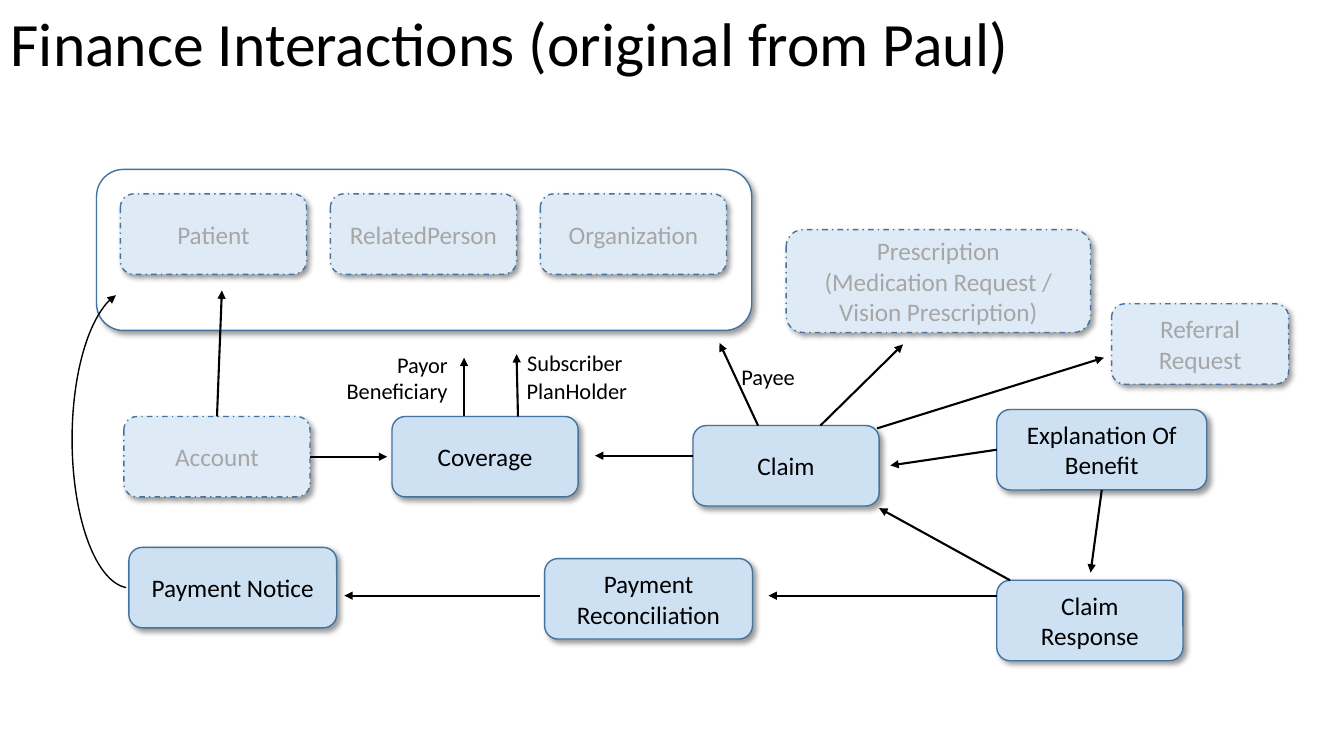
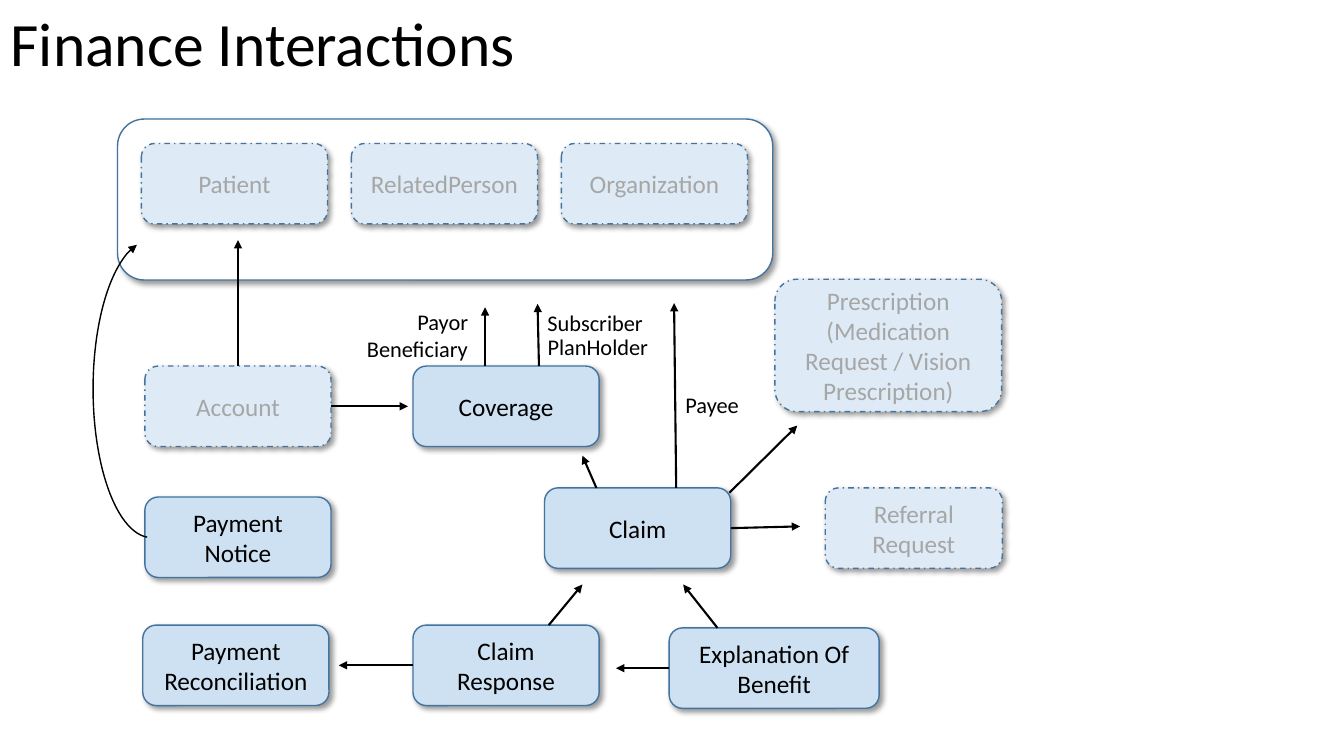
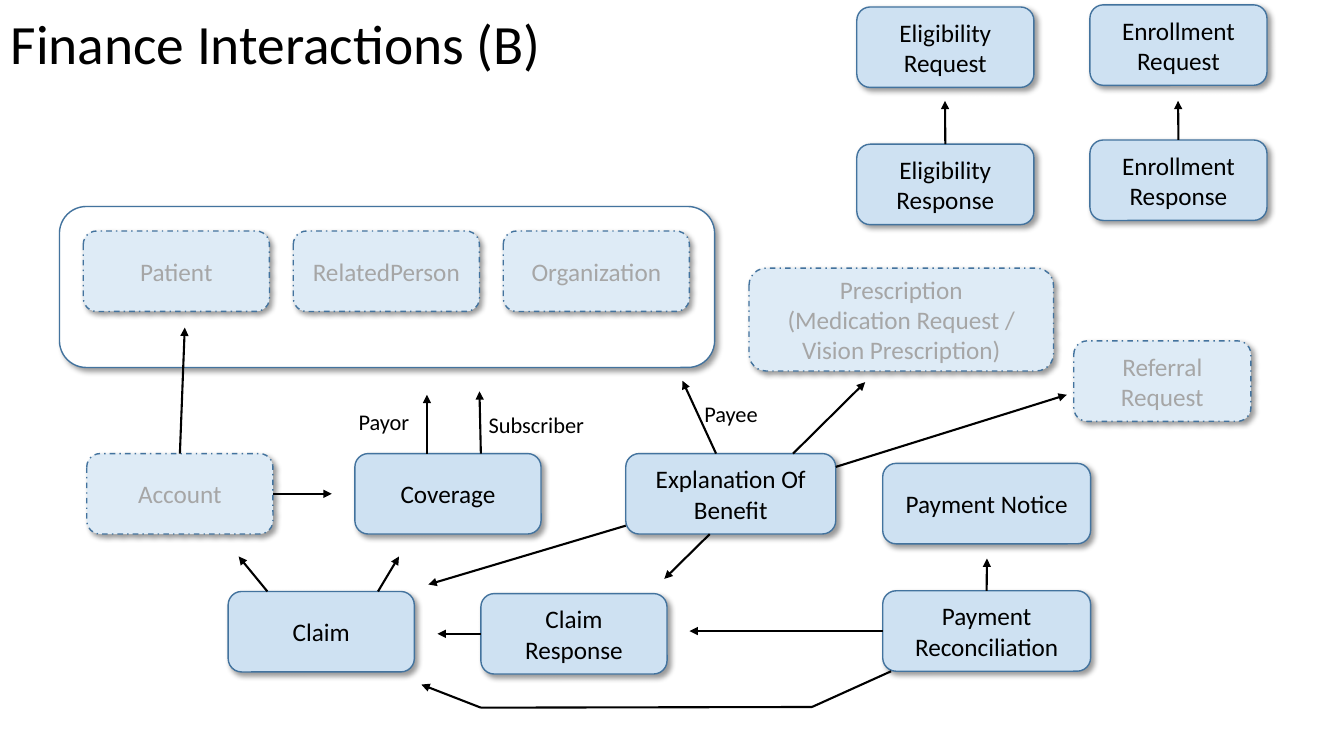
from itertools import pairwise

from lxml.etree import SubElement
from pptx import Presentation
from pptx.dml.color import RGBColor as Rgb
from pptx.enum.dml import MSO_LINE as Dash
from pptx.enum.shapes import MSO_CONNECTOR as Link, MSO_SHAPE as Form
from pptx.enum.text import MSO_ANCHOR as Anchor, MSO_AUTO_SIZE as Fit, PP_ALIGN as Align
from pptx.oxml import parse_xml
from pptx.oxml.ns import nsdecls, qn
from pptx.util import Pt

HUES = {"ink": "000000", "faint": "A6A6A6", "edge": "43739E",
        "core": "CEE1F2", "pale": "DEEBF6", "white": "FFFFFF"}

# Fill, font colour and dash of each kind of box
LOOKS = {
    "core": ("core", "ink", None),
    "side": ("pale", "faint", Dash.DASH_DOT),
    "frame": ("white", "ink", None),
}
SHADE = (
    f'<a:effectLst {nsdecls("a")}><a:outerShdw blurRad="50800" dist="38100" '
    'dir="2700000" algn="tl" rotWithShape="0"><a:srgbClr val="000000">'
    '<a:alpha val="40000"/></a:srgbClr></a:outerShdw></a:effectLst>'
)

WIDE, HIGH = 133, 57.5
REF_W, PAY_W, EOB_W = 126.5, 148.5, 150
TOP, LEFT, BOTTOM, RIGHT = range(4)
LABELS = {"Payor": 51, "Beneficiary": 88, "Subscriber": 83.5,
          "PlanHolder": 87, "Payee": 53.5}
SCRIPT = "Prescription\n(Medication Request / Vision Prescription)"


def hue(name):
    return Rgb.from_string(HUES[name])


def apply(item, values):
    for name, value in values.items():
        setattr(item, name, value)


def write(frame, text, size, color="ink", **form):
    """Fill a text frame with one paragraph; form goes to the paragraph."""
    para = frame.paragraphs[0]
    para.text = text
    apply(para, form)
    for run in para.runs:
        apply(run.font, {"name": "Calibri", "size": Pt(size)})
        run.font.color.rgb = hue(color)


def stroke(line, color, width, end=None):
    line.color.rgb = hue(color)
    line.width = Pt(width)
    if end:
        SubElement(line._get_or_add_ln(), qn(f"a:{end}")).set("type", "triangle")


def title(page, text, width, size=44):
    frame = page.shapes.add_textbox(Pt(0.5), 0, Pt(width), Pt(67)).text_frame
    apply(frame, {"word_wrap": True, "vertical_anchor": Anchor.MIDDLE})
    write(frame, text, size, line_spacing=0.9)


def label(page, text, x, y):
    spot = (Pt(v) for v in (x, y, LABELS[text], 27))
    frame = page.shapes.add_textbox(*spot).text_frame
    apply(frame, {"word_wrap": False, "auto_size": Fit.SHAPE_TO_FIT_TEXT})
    write(frame, text, 16)


def box(page, text, x, y, w=WIDE, h=HIGH, look="core"):
    fill, ink, dash = LOOKS[look]
    shape = page.shapes.add_shape(Form.ROUNDED_RECTANGLE, Pt(x), Pt(y), Pt(w), Pt(h))
    shape.fill.solid()
    shape.fill.fore_color.rgb = hue(fill)
    stroke(shape.line, "edge", 1)
    if dash:
        shape.line.dash_style = dash
    shape._element.spPr.append(parse_xml(SHADE))
    if text:
        shape.text_frame.vertical_anchor = Anchor.MIDDLE
        write(shape.text_frame, text, 18, ink, alignment=Align.CENTER)
    return shape


def arrow(page, start, stop, end="tailEnd"):
    """Draw a line from a point, or from a (box, side) pair, to a point."""
    source, side = start
    joined = not isinstance(source, (int, float))
    x, y = stop if joined else start
    line = page.shapes.add_connector(Link.STRAIGHT, Pt(x), Pt(y), *map(Pt, stop))
    if joined:
        line.begin_connect(source, side)
    stroke(line.line, "ink", 1.5, end)
    SubElement(line._element.spPr, qn("a:effectLst"))


def arrows(page, pairs):
    for start, stop in pairs:
        arrow(page, start, stop)


def labels(page, spots):
    for text, (x, y) in spots.items():
        label(page, text, x, y)


def group(page, x, y, lean=3.5, reach=207.5):
    """Draw the parties, Account and Coverage, placed from the frame's corner."""
    box(page, "", x, y, 468, 115, "frame")
    for col, name in enumerate(("Patient", "RelatedPerson", "Organization")):
        box(page, name, x + 17 + 150 * col, y + 17.5, look="side")
    low = y + 176.5
    account = box(page, "Account", x + 19.5, low, look="side")
    box(page, "Coverage", x + 211, low)
    arrows(page, [
        ((account, TOP), (x + 86 + lean, y + 86.5)),
        ((account, RIGHT), (x + reach, low + HIGH / 2)),
        ((x + 262.5, low), (x + 262.5, y + 134.5)),
        ((x + 301, low), (x + 300, y + 132)),
    ])


def curve(page, x, y):
    """Draw the bent arrow from Payment Notice to the frame at x, y."""
    arc = page.shapes.add_shape(Form.ARC, Pt(x - 17.5), Pt(y + 86.5), Pt(83.5), Pt(212.5))
    for pos, angle in enumerate((275.8, 88.3)):
        arc.adjustments[pos] = angle * 0.6
    arc._element.spPr.xfrm.set("flipH", "1")
    arc.fill.background()
    arc.shadow.inherit = False
    stroke(arc.line, "ink", 1, "headEnd")


def first(page):
    title(page, "Finance Interactions (original from Paul)", 862)
    group(page, 69, 121)
    box(page, SCRIPT, 561.5, 164, 217.5, 73.5, "side")
    box(page, "Referral Request", 794, 217, REF_W, look="side")
    box(page, "Claim", 495, 304)
    benefit = box(page, "Explanation Of Benefit", 712, 292.5, EOB_W)
    box(page, "Claim Response", 712, 414.5)
    box(page, "Payment Notice", 92, 391, PAY_W)
    box(page, "Payment Reconciliation", 389, 399, PAY_W)
    curve(page, 69, 121)
    arrows(page, [
        ((495, 325.5), (425, 325.5)),
        ((541.5, 304), (514, 245)),
        ((586, 304), (645, 246)),
        ((626.5, 306), (788.5, 255.5)),
        ((benefit, LEFT), (636, 332.5)),
        ((benefit, BOTTOM), (779, 409)),
        ((721.5, 414.5), (628, 363)),
        ((712, 425.5), (549, 425.5)),
        ((386, 425.5), (246, 425.5)),
    ])
    labels(page, {"Payor": (276.5, 247), "Subscriber": (369.5, 246),
                  "Beneficiary": (240.5, 265.5), "PlanHolder": (369, 265.5),
                  "Payee": (522.5, 255.5)})


def second(page):
    title(page, "Finance Interactions", 428)
    group(page, 84, 85, lean=0)
    box(page, SCRIPT, 553.5, 199.5, 162, 94.5, "side")
    box(page, "Referral Request", 589.5, 348.5, REF_W, look="side")
    claim = box(page, "Claim", 389, 348.5)
    benefit = box(page, "Explanation Of Benefit", 478, 448.5, EOB_W)
    reply = box(page, "Claim Response", 295, 446.5)
    box(page, "Payment Notice", 103.5, 355)
    box(page, "Payment Reconciliation", 102, 446.5)
    curve(page, 84, 85)
    arrows(page, [
        ((426, 348.5), (416, 325.5)),
        ((483, 348.5), (481.5, 216.5)),
        ((521, 352), (569.5, 304)),
        ((claim, RIGHT), (571.5, 376)),
        ((392, 446.5), (416, 417.5)),
        ((512.5, 448.5), (488, 417.5)),
        ((benefit, LEFT), (440, 477.25)),
        ((reply, LEFT), (242, 475.25)),
    ])
    labels(page, {"Payor": (291, 216.5), "Subscriber": (384, 217.5),
                  "Beneficiary": (255, 235.5), "PlanHolder": (384, 234.5),
                  "Payee": (482.5, 276)})


def third(page):
    title(page, "Finance Interactions (B)", 409, 39.6)
    group(page, 42.5, 147.5, reach=194.5)
    box(page, SCRIPT, 535, 191.5, 217.5, 73.5, "side")
    box(page, "Referral Request", 767, 243.5, REF_W, look="side")
    for name, x, high, low in (("Eligibility", 612, 5, 103), ("Enrollment", 778.5, 3.5, 100)):
        box(page, f"{name} Request", x, high, REF_W)
        reply = box(page, f"{name} Response", x, low, REF_W)
        arrow(page, (reply, TOP), (x + 63, 72))
    box(page, "Claim", 163, 422.5)
    reply = box(page, "Claim Response", 343.5, 424)
    box(page, "Explanation Of Benefit", 447, 324, EOB_W)
    box(page, "Payment Notice", 630.5, 331, PAY_W)
    balance = box(page, "Payment Reconciliation", 630.5, 422, PAY_W)
    arrows(page, [
        ((191, 422.5), (170.5, 397.5)),
        ((270, 422.5), (285, 397.5)),
        ((447, 375.5), (306, 417.5)),
        ((507, 381.5), (474.5, 413.5)),
        ((511.5, 324), (487.5, 272)),
        ((566.5, 324), (618, 273)),
        ((597, 333.5), (762, 282)),
        ((reply, LEFT), (312.5, 452.75)),
        ((balance, LEFT), (492.5, 450.75)),
        ((balance, TOP), (705, 399)),
    ])
    route = [(636.5, 479.5), (580, 505), (343.5, 505.5), (301, 489)]
    for start, stop in pairwise(route):
        arrow(page, start, stop, "tailEnd" if stop == route[-1] else None)
    labels(page, {"Payor": (249, 288), "Subscriber": (342, 290), "Payee": (496, 282)})


def main():
    deck = Presentation()
    apply(deck, {"slide_width": Pt(960), "slide_height": Pt(540)})
    for draw in (first, second, third):
        draw(deck.slides.add_slide(deck.slide_layouts[6]))
    deck.save("out.pptx")


if __name__ == "__main__":
    main()
